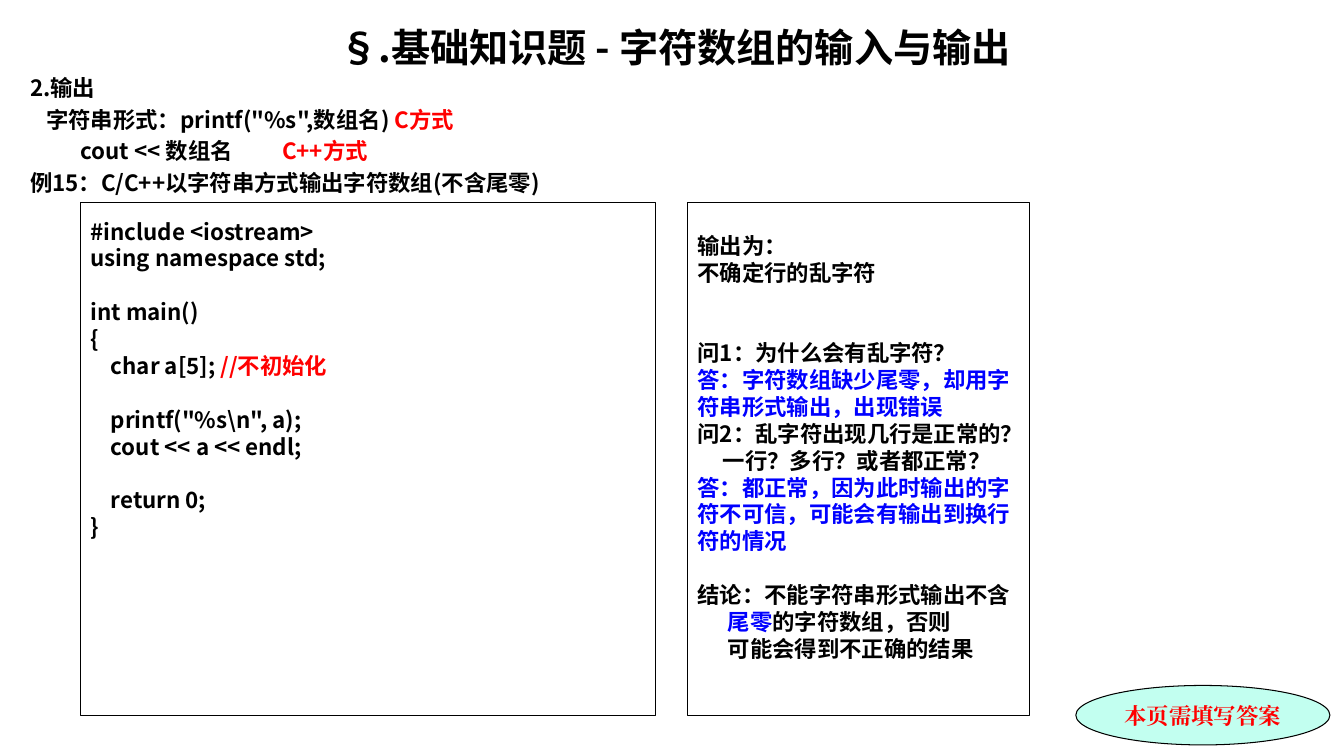
from dataclasses import dataclass

from lxml.etree import SubElement
from pptx import Presentation
from pptx.dml.color import RGBColor
from pptx.enum.shapes import MSO_SHAPE
from pptx.enum.text import MSO_ANCHOR, PP_ALIGN
from pptx.oxml.ns import qn
from pptx.util import Inches, Pt

BLACK = RGBColor(0x00, 0x00, 0x00)
RED = RGBColor(0xFF, 0x00, 0x00)
BLUE = RGBColor(0x00, 0x00, 0xFF)
MINT = RGBColor(0xC2, 0xFF, 0xF0)
SANS = "Noto Sans CJK SC"
SERIF = "Times New Roman"
SIZE = 16
LEADING = 1.2


@dataclass
class Run:
    text: str
    color: RGBColor = BLACK


@dataclass
class Line:
    runs: list[Run]
    gap: int = 0
    indent: float = 0
    tabs: tuple[float, ...] = ()


@dataclass
class Panel:
    left: float
    width: float
    inset: float
    lines: list[Line]


def line(text: str, color: RGBColor = BLACK, **layout) -> Line:
    return Line([Run(text, color)], **layout)


HEADING = [
    line("2.输出"),
    Line([Run('字符串形式：printf("%s",数组名) '), Run("C方式", RED)], indent=0.16),
    Line([Run("\tcout << 数组名\t"), Run("C++方式", RED)], tabs=(0.76, 2.69)),
    line("例15：C/C++以字符串方式输出字符数组(不含尾零)"),
]
CODE = [
    line("#include <iostream>"),
    line("using namespace std;"),
    line("int main()", gap=1),
    line("{"),
    Line([Run("    char a[5]; "), Run("//不初始化", RED)]),
    line(r'    printf("%s\n", a);', gap=1),
    line("    cout << a << endl;"),
    line("    return 0;", gap=1),
    line("}"),
]
ANSWERS = [
    line("输出为："),
    line("不确定行的乱字符"),
    line("问1：为什么会有乱字符？", gap=2),
    line("答：字符数组缺少尾零，却用字", BLUE),
    line("符串形式输出，出现错误", BLUE),
    line("问2：乱字符出现几行是正常的？"),
    line("一行？多行？或者都正常？", indent=0.25),
    line("答：都正常，因为此时输出的字", BLUE),
    line("符不可信，可能会有输出到换行", BLUE),
    line("符的情况", BLUE),
    line("结论：不能字符串形式输出不含", gap=1),
    Line([Run("尾零", BLUE), Run("的字符数组，否则")], indent=0.3),
    line("可能会得到不正确的结果", indent=0.3),
]
PANELS = [Panel(0.8, 5.7, 0.15, CODE), Panel(6.82, 3.39, 0.29, ANSWERS)]


def add_run(p, text: str, *, size: int = SIZE, color: RGBColor = BLACK, font: str = SANS) -> None:
    r = p.add_run()
    r.text = text
    r.font.size = Pt(size)
    r.font.bold = True
    r.font.color.rgb = color
    r.font.name = font
    SubElement(r.font._element, qn("a:ea"), typeface=font)


def add_line(p, item: Line, *, size: int = SIZE, before: float = 0, align=PP_ALIGN.LEFT) -> None:
    p.alignment = align
    p.line_spacing = Pt(size * LEADING)
    p.space_before = Pt(before + item.gap * size * LEADING)
    pPr = p._p.get_or_add_pPr()
    pPr.set("marL", str(Inches(item.indent)))
    pPr.set("indent", "0")
    if item.tabs:
        tab_list = SubElement(pPr, qn("a:tabLst"))
        for pos in item.tabs:
            SubElement(tab_list, qn("a:tab"), pos=str(Inches(pos)), algn="l")
    for run in item.runs:
        add_run(p, run.text, size=size, color=run.color)


def add_outlined(slide, kind, left: float, top: float, width: float, height: float):
    sp = slide.shapes.add_shape(kind, Inches(left), Inches(top), Inches(width), Inches(height))
    sp.shadow.inherit = False
    sp.fill.background()
    sp.line.color.rgb = BLACK
    sp.line.width = Pt(0.75)
    return sp


def add_heading(slide) -> None:
    box = slide.shapes.add_textbox(Inches(0.2), Inches(0.18), Inches(12.99), Inches(7.09))
    tf = box.text_frame
    tf.word_wrap = True
    add_line(tf.paragraphs[0], line("§.基础知识题 - 字符数组的输入与输出"),
             size=28, align=PP_ALIGN.CENTER)
    for item in HEADING:
        add_line(tf.add_paragraph(), item, before=SIZE * 0.2)


def add_panel(slide, panel: Panel) -> None:
    sp = add_outlined(slide, MSO_SHAPE.RECTANGLE, panel.left, 2.01, panel.width, 5.09)
    tf = sp.text_frame
    tf.word_wrap = False
    tf.vertical_anchor = MSO_ANCHOR.TOP
    tf.margin_top = Inches(panel.inset)
    for i, item in enumerate(panel.lines):
        add_line(tf.add_paragraph() if i else tf.paragraphs[0], item)


def add_badge(slide) -> None:
    sp = add_outlined(slide, MSO_SHAPE.OVAL, 10.67, 6.8, 2.52, 0.59)
    sp.fill.solid()
    sp.fill.fore_color.rgb = MINT
    tf = sp.text_frame
    tf.word_wrap = False
    tf.vertical_anchor = MSO_ANCHOR.MIDDLE
    p = tf.paragraphs[0]
    p.alignment = PP_ALIGN.CENTER
    add_run(p, "本页需填写答案", color=RED, font=SERIF)


def main() -> None:
    prs = Presentation()
    prs.slide_width = Inches(13.33)
    prs.slide_height = Inches(7.5)
    s = prs.slides.add_slide(prs.slide_layouts[6])
    add_heading(s)
    add_badge(s)
    for panel in PANELS:
        add_panel(s, panel)
    prs.save("out.pptx")


if __name__ == "__main__":
    main()
